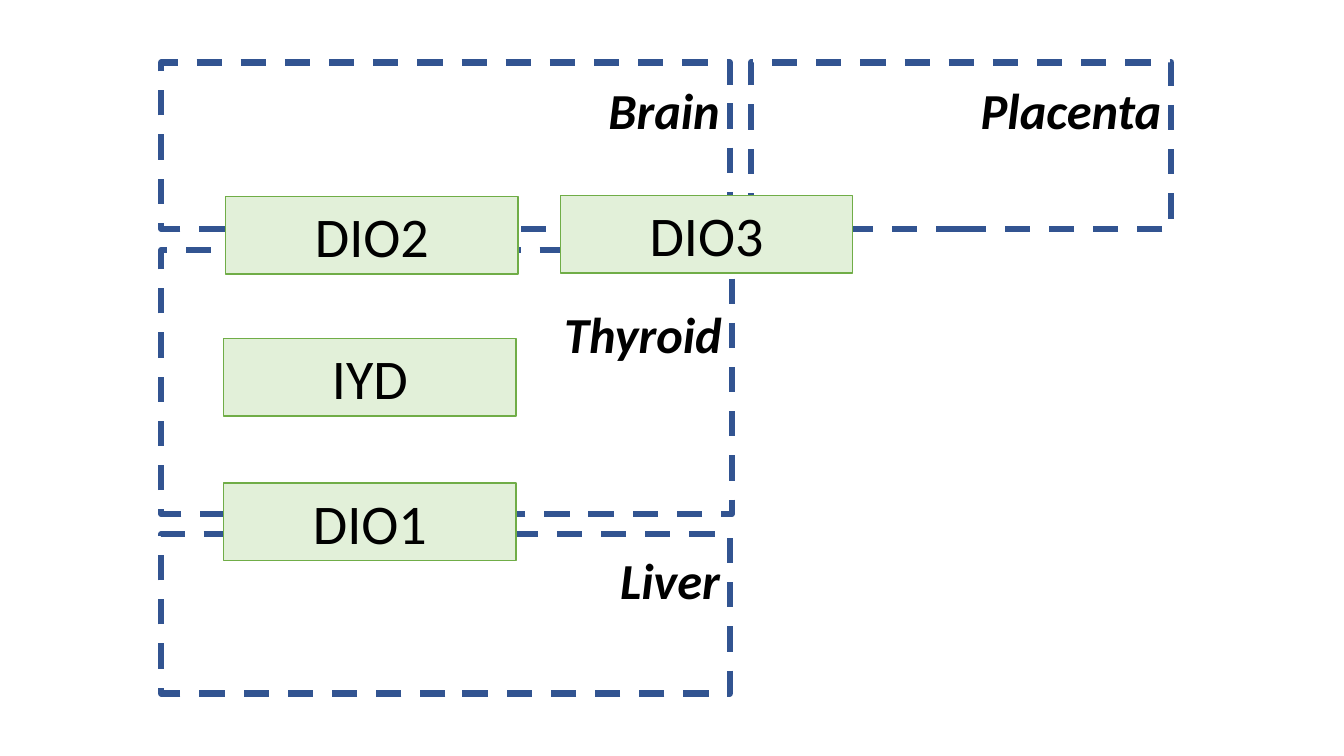
"""Build a slide mapping deiodinase enzymes to the organs that express them."""
from pptx import Presentation
from pptx.dml.color import RGBColor
from pptx.enum import dml, shapes, text
from pptx.util import Pt

COLORS = {"organ": "325491", "fill": "E2F0D9", "border": "70AD47", "text": "000000"}
LABEL_W, LABEL_H = 208.8, 51.1
ENZYME_W, ENZYME_H = 208.8, 55.4

ORGANS = [
    ("Thyroid", 115.2, 178.6, 407.5, 188.6, 213.1),
    ("Brain", 115.2, 44.6, 406.1, 118.8, 53.3),
    ("Liver", 115.2, 381.6, 406.1, 113.8, 388.8),
    ("Placenta", 536.4, 44.6, 300.2, 118.8, 53.3),
]
ENZYMES = [
    ("IYD", 159.8, 241.9),
    ("DIO2", 161.3, 140.4),
    ("DIO1", 159.8, 344.9),
    ("DIO3", 400.3, 139.7),
]


def add_box(s, x, y, w, h, line, width):
    sp = s.shapes.add_shape(shapes.MSO_SHAPE.RECTANGLE, Pt(x), Pt(y), Pt(w), Pt(h))
    sp.shadow.inherit = False
    sp.fill.background()
    sp.line.color.rgb = RGBColor.from_string(COLORS[line])
    sp.line.width = Pt(width)
    return sp


def write(sp, words, align, formats):
    tf = sp.text_frame
    tf.word_wrap = True
    tf.auto_size = text.MSO_AUTO_SIZE.SHAPE_TO_FIT_TEXT
    p = tf.paragraphs[0]
    p.alignment = align
    r = p.add_run()
    r.text = words
    r.font.color.rgb = RGBColor.from_string(COLORS["text"])
    for name, value in formats.items():
        setattr(r.font, name, value)


prs = Presentation()
prs.slide_width, prs.slide_height = Pt(960), Pt(540)
s = prs.slides.add_slide(prs.slide_layouts[6])

for name, x, y, w, h, label_y in ORGANS:
    sp = add_box(s, x, y, w, h, "organ", 4.5)
    sp.line.dash_style = dml.MSO_LINE.DASH

for name, x, y, w, h, label_y in ORGANS:
    label_x = x + w - LABEL_W
    sp = s.shapes.add_textbox(Pt(label_x), Pt(label_y), Pt(LABEL_W), Pt(LABEL_H))
    write(sp, name, text.PP_ALIGN.RIGHT,
          {"name": "Calibri", "size": Pt(36), "bold": True, "italic": True})

for name, x, y in ENZYMES:
    sp = add_box(s, x, y, ENZYME_W, ENZYME_H, "border", 1)
    sp.fill.solid()
    sp.fill.fore_color.rgb = RGBColor.from_string(COLORS["fill"])
    write(sp, name, text.PP_ALIGN.CENTER, {"name": "Calibri", "size": Pt(40)})

prs.save("out.pptx")
